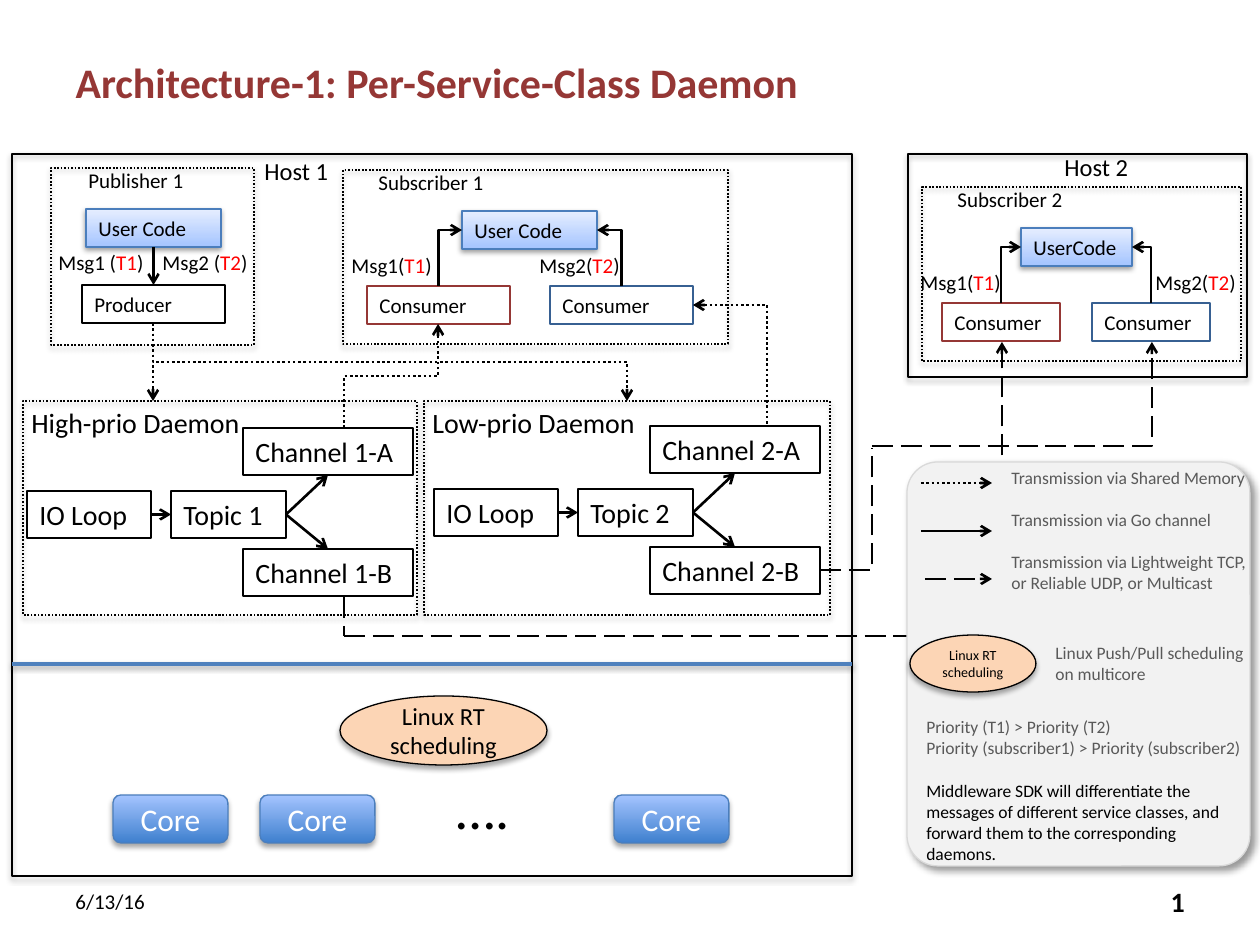
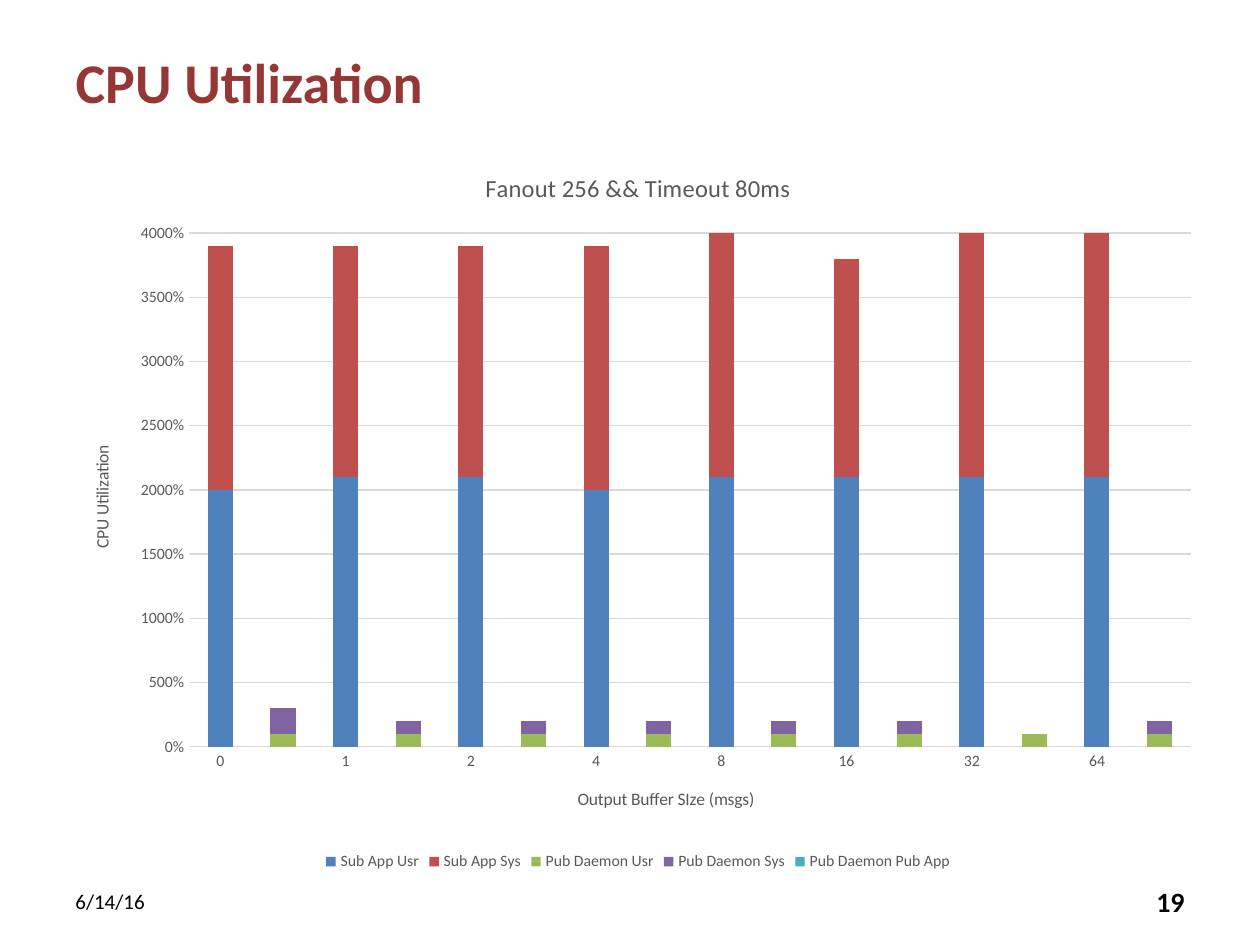
import lxml.etree
import pptx
import pptx.chart.data
import pptx.dml.color
import pptx.enum.chart
import pptx.enum.dml
import pptx.enum.shapes
import pptx.enum.text
import pptx.oxml
import pptx.oxml.ns
import pptx.util

PX = 914400 / 126
FONT = "Calibri"
COLORS = {
    "black": "000000", "white": "FFFFFF", "title": "953735", "red": "FF0000",
    "navy": "376092", "gray": "595959", "panel": "F2F2F2", "rule": "D9D9D9",
    "edge": "4B7EBC", "divider": "4F81BD", "peach": "FCD5B5",
    "sky": "A4C4FF", "pale": "E6EEFF", "core": "3F80CE",
}
SERIES_COLORS = ["4F81BD", "C0504D", "9BBB59", "8064A2", "4BACC6"]
SHAPE = pptx.enum.shapes.MSO_SHAPE
LINE = pptx.enum.shapes.MSO_CONNECTOR
DOT = pptx.enum.dml.MSO_LINE.ROUND_DOT
DASH = pptx.enum.dml.MSO_LINE.LONG_DASH
ANCHOR = pptx.enum.text.MSO_ANCHOR
ALIGN = pptx.enum.text.PP_ALIGN
SOFT_SHADOW = (35, 3.1, 1.8, 90)
TOP, LEFT, BOTTOM, RIGHT = range(4)


def px(*lengths):
    return [pptx.util.Emu(round(n * PX)) for n in lengths]


def rgb(name):
    return pptx.dml.color.RGBColor.from_string(COLORS.get(name, name))


def write(tf, paras, size, color="black", bold=False, align=ALIGN.LEFT,
          anchor=ANCHOR.TOP, gap=0):
    """Each paragraph is a string or a list of (text, colour) runs."""
    tf.word_wrap = True
    tf.vertical_anchor = anchor
    for i, runs in enumerate(paras):
        p = tf.paragraphs[0] if i == 0 else tf.add_paragraph()
        p.alignment = align
        p.space_before = pptx.util.Pt(gap if i else 0)
        for text, shade in [(runs, color)] if isinstance(runs, str) else runs:
            r = p.add_run()
            r.text = text
            r.font.name, r.font.size, r.font.bold = FONT, pptx.util.Pt(size), bold
            r.font.color.rgb = rgb(shade)


def label(s, box, paras, size, **style):
    tb = s.shapes.add_textbox(*px(*box))
    write(tb.text_frame, paras, size, **style)


def set_effects(spPr, shadow):
    """Replace the theme shadow by the given one, or by none."""
    tag = pptx.oxml.ns.qn("a:effectLst")
    effects = spPr.find(tag)
    if effects is None:
        effects = lxml.etree.SubElement(spPr, tag)
    if shadow:
        alpha, blur, dist, angle = shadow
        effects.append(pptx.oxml.parse_xml(
            f'<a:outerShdw {pptx.oxml.ns.nsdecls("a")} blurRad="{round(blur * 12700)}" '
            f'dist="{round(dist * 12700)}" dir="{angle * 60000}" rotWithShape="0">'
            f'<a:srgbClr val="000000"><a:alpha val="{alpha * 1000}"/></a:srgbClr>'
            '</a:outerShdw>'))


def style_line(line, color, width, dash=None):
    line.color.rgb = rgb(color)
    line.width = pptx.util.Pt(width)
    if dash:
        line.dash_style = dash


def shape(s, box, kind=SHAPE.RECTANGLE, fill=None, line="black", width=1.5,
          dash=None, shadow=None):
    """A fill given as a pair of colours runs from bottom to top."""
    sp = s.shapes.add_shape(kind, *px(*box))
    if fill is None:
        sp.fill.background()
    elif isinstance(fill, tuple):
        sp.fill.gradient()
        sp.fill.gradient_angle = 90
        for stop, color in zip(sp.fill.gradient_stops, fill):
            stop.color.rgb = rgb(color)
    else:
        sp.fill.solid()
        sp.fill.fore_color.rgb = rgb(fill)
    style_line(sp.line, line, width, dash)
    sp.shadow.inherit = False
    set_effects(sp._element.spPr, shadow)
    return sp


def frame(s, box, dash=None):
    return shape(s, box, width=1, dash=dash, shadow=SOFT_SHADOW)


def node(s, box, text, size=12, line="black"):
    sp = shape(s, box, line=line)
    write(sp.text_frame, [text], size)
    return sp


def user_code(s, box, text):
    sp = shape(s, box, fill=("sky", "pale"), line="edge", width=0.75,
               shadow=(38, 3.1, 1.6, 90))
    write(sp.text_frame, [text], 12)
    return sp


def scheduler(s, box, size):
    sp = shape(s, box, SHAPE.OVAL, "peach", width=0.75, shadow=SOFT_SHADOW)
    write(sp.text_frame, ["Linux RT scheduling"], size, align=ALIGN.CENTER,
          anchor=ANCHOR.MIDDLE)


def message(s, x, y, w, text, topic):
    label(s, (x, y, w, 38), [[(text, "black"), (topic, "red"), (")", "black")]], 12)


def connector(s, start, end, kind=LINE.STRAIGHT, dash=None, arrow="tail",
              color="black", width=1.5, shadow=None):
    cx = s.shapes.add_connector(kind, *px(*start, *end))
    style_line(cx.line, color, width, dash)
    if arrow:
        ln = cx.line._get_or_add_ln()
        lxml.etree.SubElement(ln, pptx.oxml.ns.qn(f"a:{arrow}End")).set("type", "arrow")
    set_effects(cx._element.spPr, shadow)
    return cx


def link(s, a, side_a, b, side_b):
    cx = connector(s, (0, 0), (1, 1))
    cx.begin_connect(a, side_a)
    cx.end_connect(b, side_b)


def corner(s, start, end, **style):
    """One bend: across first, then up or down."""
    cx = connector(s, start, end, LINE.ELBOW, **style)
    cx._element.spPr.prstGeom.set("prst", "bentConnector2")


def step(s, start, end, **style):
    """Two bends: vertical, across halfway, vertical; a quarter-turned elbow."""
    (x1, y1), (x2, y2) = start, end
    mx, my, dx, dy = (x1 + x2) / 2, (y1 + y2) / 2, (x2 - x1) / 2, (y2 - y1) / 2
    cx = connector(s, (mx - dy, my + dx), (mx + dy, my - dx), LINE.ELBOW, **style)
    cx._element.spPr.xfrm.set("rot", "5400000")


def publisher(s, x, y):
    frame(s, (x, y, 203, 177), DOT)
    label(s, (x + 25, y - 7, 173, 38), ["Publisher 1"], 12)
    code = user_code(s, (x + 35, y + 41, 135, 38), "User Code")
    producer = node(s, (x + 31, y + 117, 143, 38), "Producer")
    link(s, code, BOTTOM, producer, TOP)
    message(s, x - 5, y + 75, 117, "Msg1 (", "T1")
    message(s, x + 99, y + 75, 117, "Msg2 (", "T2")


def subscriber(s, x, y, w, name, code, code_box, consumer_xs, consumer_w, message_xs):
    frame(s, (x, y, w, 174), DOT)
    label(s, (x + 23, y - 7, 173, 38), [name], 12)
    code_x, code_w = code_box
    user_code(s, (x + code_x, y + 41, code_w, 38), code)
    sides = (x + code_x, x + code_x + code_w)
    for i, color in enumerate(("title", "navy")):
        left = x + consumer_xs[i]
        node(s, (left, y + 116, consumer_w, 38), "Consumer", line=color)
        corner(s, (sides[i], y + 60), (left + consumer_w / 2, y + 116), arrow="head")
        message(s, x + message_xs[i], y + 76, 117, "Msg%d(" % (i + 1), "T%d" % (i + 1))


def daemon(s, x, y, w, name, number, flow):
    frame(s, (x, y, w, 214), DOT)
    label(s, (x - 4, y - 2, 260, 47), [name], 16)
    fx, fy = x + flow[0], y + flow[1]
    loop = node(s, (fx, fy, 124, 47), "IO Loop", 16)
    topic = node(s, (fx + 144, fy, 115, 47), f"Topic {number}", 16)
    link(s, loop, RIGHT, topic, LEFT)
    for letter, dy, side in (("A", -63, BOTTOM), ("B", 58, TOP)):
        channel = node(s, (fx + 216, fy + dy, 170, 47), f"Channel {number}-{letter}", 16)
        link(s, topic, RIGHT, channel, side)


def routes(s):
    connector(s, (153, 323), (153, 401), dash=DOT)
    step(s, (153, 323), (627, 401), dash=DOT)
    step(s, (344, 428), (438, 324), dash=DOT)
    corner(s, (693, 305), (767, 426), dash=DOT, arrow="head")
    connector(s, (344, 597), (344, 636), dash=DASH, arrow=None)
    corner(s, (344, 636), (1002, 342), dash=DASH)
    corner(s, (820, 570), (872, 448), dash=DASH, arrow=None)
    corner(s, (872, 446), (1152, 342), dash=DASH)


def cores(s, x, y, w):
    connector(s, (x, y), (x + w, y), arrow=None, color="divider", width=2,
              shadow=(38, 3.1, 1.6, 90))
    scheduler(s, (x + 328, y + 32, 207, 69), 14)
    for dx in (101, 248, 602):
        sp = shape(s, (x + dx, y + 131, 115, 48), SHAPE.ROUNDED_RECTANGLE,
                   ("core", "sky"), "edge", 0.75, shadow=SOFT_SHADOW)
        write(sp.text_frame, ["Core"], 18, "white", align=ALIGN.CENTER,
              anchor=ANCHOR.MIDDLE)
    label(s, (x + 432, y + 103, 83, 81), ["…."], 32)


def legend(s, x, y):
    panel = shape(s, (x, y, 343, 404), SHAPE.ROUNDED_RECTANGLE, "panel", "rule",
                  0.75, shadow=(40, 4, 3, 45))
    panel.adjustments[0] = 0.09
    label(s, (x + 92, y - 1, 270, 140),
          ["Transmission via Shared Memory", "Transmission via Go channel",
           "Transmission via Lightweight TCP, or Reliable UDP, or Multicast"],
          10, color="gray", gap=12)
    for i, dash in enumerate((DOT, None, DASH)):
        dy = y + 21 + 48 * i
        connector(s, (x + (18 if dash == DASH else 14), dy), (x + 85, dy), dash=dash)
    scheduler(s, (x + 3, y + 173, 126, 57), 8)
    label(s, (x + 136, y + 174, 234, 55),
          ["Linux Push/Pull scheduling", "on multicore"], 10, color="gray")
    label(s, (x + 7, y + 248, 340, 60),
          ["Priority (T1) > Priority (T2)",
           "Priority (subscriber1) > Priority (subscriber2)"], 10, color="gray")
    label(s, (x + 7, y + 312, 340, 97),
          ["Middleware SDK will differentiate the messages of different service "
           "classes, and forward them to the corresponding daemons."], 10)


def base_slide(prs, title, size, date, number):
    s = prs.slides.add_slide(prs.slide_layouts[5])
    t = s.shapes.title
    t.left, t.top, t.width, t.height = px(63, 38, 1134, 87)
    write(t.text_frame, [title], size, "title", bold=True, anchor=ANCHOR.MIDDLE)
    label(s, (63, 876, 294, 50), [date], 12, anchor=ANCHOR.MIDDLE)
    label(s, (903, 876, 294, 50), [number], 16, bold=True, align=ALIGN.RIGHT,
          anchor=ANCHOR.MIDDLE)
    return s


def architecture_slide(prs):
    s = base_slide(prs, "Architecture-1: Per-Service-Class Daemon", 24, "6/13/16", "1")
    frame(s, (12, 154, 840, 722))
    frame(s, (908, 154, 339, 223))
    label(s, (252, 150, 115, 43), ["Host 1"], 14)
    label(s, (1052, 146, 115, 43), ["Host 2"], 14)
    publisher(s, 51, 168)
    subscriber(s, 343, 170, 385, "Subscriber 1", "User Code", (119, 135),
               (24, 207), 143, (-4, 184))
    subscriber(s, 922, 187, 319, "Subscriber 2", "UserCode", (99, 111),
               (20, 170), 118, (-14, 221))
    routes(s)
    daemon(s, 23, 401, 394, "High-prio Daemon", 1, (4, 90))
    daemon(s, 424, 401, 406, "Low-prio Daemon", 2, (10, 88))
    cores(s, 12, 664, 840)
    legend(s, 907, 462)


def cpu_data():
    """Subscriber and publisher bars take turns along the axis."""
    data = pptx.chart.data.CategoryChartData(number_format="0%")
    for size in (0, 1, 2, 4, 8, 16, 32, 64):
        data.add_category(str(size))
        data.add_category("")
    rows = [
        ("Sub App Usr", 0, [20, 21, 21, 20, 21, 21, 21, 21]),
        ("Sub App Sys", 0, [19, 18, 18, 19, 19, 17, 19, 19]),
        ("Pub Daemon Usr", 1, [1] * 8),
        ("Pub Daemon Sys", 1, [2, 1, 1, 1, 1, 1, 0, 1]),
        ("Pub Daemon Pub App", 1, [0] * 8),
    ]
    for name, turn, values in rows:
        data.add_series(name, [v for value in values
                               for v in ((None, value) if turn else (value, None))])
    return data


def chart_title(owner, text, size):
    write(owner.text_frame, [text], size, "gray", align=ALIGN.CENTER)


def chart_font(font, size):
    font.name, font.size, font.bold = FONT, pptx.util.Pt(size), False
    font.color.rgb = rgb("gray")


def cpu_slide(prs):
    s = base_slide(prs, "CPU Utilization", 32, "6/14/16", "19")
    w, h = 1150, 731
    chart = s.shapes.add_chart(pptx.enum.chart.XL_CHART_TYPE.COLUMN_STACKED,
                               *px(63, 145, w, h), cpu_data()).chart
    chart_font(chart.font, 10)
    chart.has_title = True
    chart_title(chart.chart_title, "Fanout 256 && Timeout 80ms", 14)
    chart.has_legend = True
    chart.legend.position = pptx.enum.chart.XL_LEGEND_POSITION.BOTTOM
    chart.legend.include_in_layout = False
    chart_font(chart.legend.font, 9)
    plot = chart.plots[0]
    plot.gap_width, plot.overlap, plot.vary_by_categories = 150, 100, False
    for series, color in zip(plot.series, SERIES_COLORS):
        series.format.fill.solid()
        series.format.fill.fore_color.rgb = rgb(color)
    cat, val = chart.category_axis, chart.value_axis
    for axis, title in ((cat, "Output Buffer SIze (msgs)"), (val, "CPU Utilization")):
        axis.has_title = True
        chart_title(axis.axis_title, title, 10)
        axis.major_tick_mark = pptx.enum.chart.XL_TICK_MARK.NONE
        chart_font(axis.tick_labels.font, 9)
    style_line(cat.format.line, "rule", 0.75)
    val.format.line.fill.background()
    val.minimum_scale, val.maximum_scale, val.major_unit = 0, 40, 5
    val.tick_labels.number_format = "0%"
    val.tick_labels.number_format_is_linked = False
    style_line(val.major_gridlines.format.line, "rule", 0.75)
    place_plot(chart, {"x": 126 / w, "y": 88 / h, "w": 1002 / w, "h": 514 / h})


def place_plot(chart, shares):
    area = chart._chartSpace.chart.plotArea
    old = area.find(pptx.oxml.ns.qn("c:layout"))
    if old is not None:
        area.remove(old)
    modes = '<c:layoutTarget val="inner"/><c:xMode val="edge"/><c:yMode val="edge"/>'
    parts = "".join(f'<c:{k} val="{v:.4f}"/>' for k, v in shares.items())
    area.insert(0, pptx.oxml.parse_xml(
        f'<c:layout {pptx.oxml.ns.nsdecls("c")}><c:manualLayout>{modes}{parts}'
        '</c:manualLayout></c:layout>'))


def main():
    prs = pptx.Presentation()
    prs.slide_width, prs.slide_height = px(1260, 945)
    architecture_slide(prs)
    cpu_slide(prs)
    prs.save("out.pptx")


if __name__ == "__main__":
    main()
